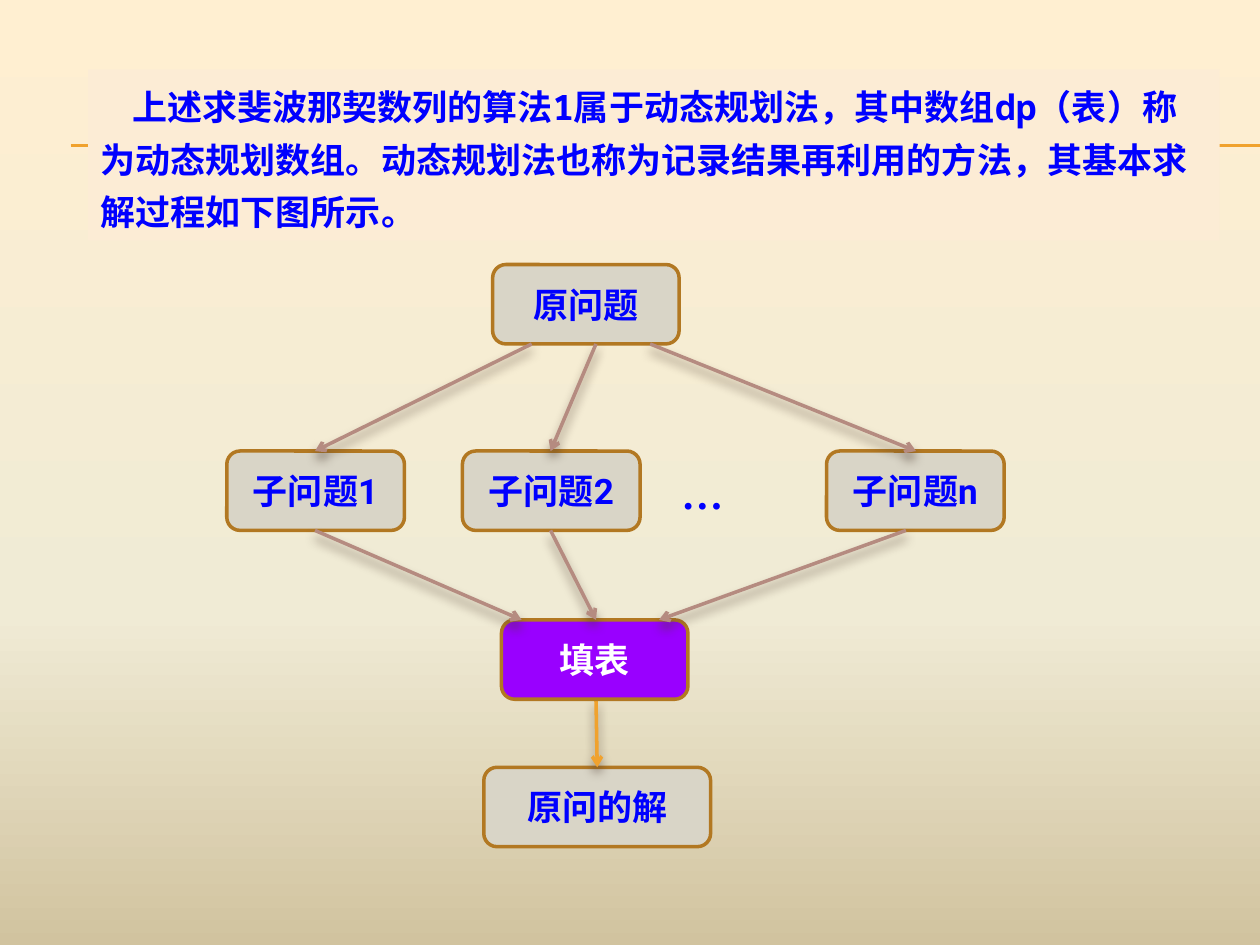
import copy
import dataclasses

import lxml.etree
import pptx
import pptx.dml.color
import pptx.enum.shapes
import pptx.enum.text
import pptx.oxml
import pptx.oxml.ns
import pptx.shapes.autoshape
import pptx.shapes.connector
import pptx.slide
import pptx.text.text
import pptx.util

Inches = pptx.util.Inches
Pt = pptx.util.Pt


@dataclasses.dataclass(frozen=True)
class Theme:
    background: tuple = ((0, "FFEFD1"), (0.65, "F0EBD5"), (1, "D1C39F"))
    rule: str = "F0A22E"
    intro_fill: str = "FCECD5"
    box_fill: str = "D9D5C7"
    box_line: str = "B27822"
    table_fill: str = "9900FF"
    ink: str = "0000FF"
    light_ink: str = "FFFFFF"
    arrow: str = "B58B80"
    shadow: str = "4E3B30"
    intro_font: str = "Noto Sans Mono"
    box_font: str = "Roboto"
    ellipsis_font: str = "Times New Roman"
    text_size: int = 20
    ellipsis_size: int = 24
    rule_width: float = 0.75
    line_width: float = 2


THEME = Theme()
BOX_HEIGHT = 0.63


@dataclasses.dataclass(frozen=True)
class Box:
    text: str
    left: float
    top: float
    width: float
    fill: str = THEME.box_fill
    ink: str = THEME.ink


@dataclasses.dataclass(frozen=True)
class Arrow:
    start: tuple[float, float]
    end: tuple[float, float]
    color: str = THEME.arrow


PROBLEM_TOP, SUBPROBLEM_TOP, TABLE_TOP, SOLUTION_TOP = 2.1, 3.58, 4.92, 6.09
PROBLEM_BOTTOM, SUBPROBLEM_BOTTOM, TABLE_BOTTOM = (
    top + BOX_HEIGHT for top in (PROBLEM_TOP, SUBPROBLEM_TOP, TABLE_TOP)
)
SUBPROBLEMS = (("子问题1", 1.8), ("子问题2", 3.67), ("子问题n", 6.56))

BOXES = [
    Box("原问题", 3.91, PROBLEM_TOP, 1.48),
    Box("原问的解", 3.84, SOLUTION_TOP, 1.8),
    *(Box(text, left, SUBPROBLEM_TOP, 1.41) for text, left in SUBPROBLEMS),
]
TABLE_BOX = Box("填表", 3.98, TABLE_TOP, 1.48, THEME.table_fill, THEME.light_ink)

SPLIT_ARROWS = [
    Arrow((start, PROBLEM_BOTTOM), (end, SUBPROBLEM_TOP))
    for start, end in ((4.22, 2.5), (4.73, 4.37), (5.16, 7.27))
]
MERGE_ARROWS = [
    Arrow((start, SUBPROBLEM_BOTTOM), (end, TABLE_TOP))
    for start, end in ((4.37, 4.73), (2.5, 4.14), (7.19, 5.23))
]
SOLUTION_ARROW = Arrow((4.73, TABLE_BOTTOM), (4.74, SOLUTION_TOP), THEME.rule)

INTRO = (
    "上述求斐波那契数列的算法1属于动态规划法，其中数组dp（表）称为动态规划数组。"
    "动态规划法也称为记录结果再利用的方法，其基本求解过程如下图所示。"
)


def rgb(color: str) -> pptx.dml.color.RGBColor:
    return pptx.dml.color.RGBColor.from_string(color)


def paint_background(slide: pptx.slide.Slide) -> None:
    fill = slide.background.fill
    fill.gradient()
    fill.gradient_angle = 270
    last_stop = slide.background._cSld.find(".//" + pptx.oxml.ns.qn("a:gs"))
    last_stop.addnext(copy.deepcopy(last_stop))
    for stop, (position, color) in zip(fill.gradient_stops, THEME.background):
        stop.position = position
        stop.color.rgb = rgb(color)


def write(
    shape: pptx.shapes.autoshape.Shape, text: str, font: str, color: str,
    size: int = THEME.text_size,
) -> pptx.text.text._Paragraph:
    shape.text_frame.word_wrap = True
    paragraph = shape.text_frame.paragraphs[0]
    paragraph.text = text
    paragraph.font.name = font
    paragraph.font.size = Pt(size)
    paragraph.font.bold = True
    paragraph.font.color.rgb = rgb(color)
    return paragraph


def add_line(
    slide: pptx.slide.Slide, start: tuple[float, float], end: tuple[float, float],
    color: str, width: float,
) -> pptx.shapes.connector.Connector:
    line = slide.shapes.add_connector(
        pptx.enum.shapes.MSO_CONNECTOR.STRAIGHT,
        *(Inches(value) for value in (*start, *end)),
    )
    line.line.color.rgb = rgb(color)
    line.line.width = Pt(width)
    lxml.etree.SubElement(line._element.spPr, pptx.oxml.ns.qn("a:effectLst"))
    return line


def add_arrow(slide: pptx.slide.Slide, arrow: Arrow) -> None:
    line = add_line(slide, arrow.start, arrow.end, arrow.color, THEME.line_width)
    outline = line.line._get_or_add_ln()
    lxml.etree.SubElement(outline, pptx.oxml.ns.qn("a:tailEnd"), type="arrow")
    effects = line._element.spPr.find(pptx.oxml.ns.qn("a:effectLst"))
    effects.append(pptx.oxml.parse_xml(
        f'<a:outerShdw {pptx.oxml.ns.nsdecls("a")} blurRad="{Pt(6)}" '
        f'dist="{Pt(4)}" dir="5400000" rotWithShape="0">'
        f'<a:srgbClr val="{THEME.shadow}"><a:alpha val="60000"/></a:srgbClr>'
        "</a:outerShdw>"
    ))


def add_box(slide: pptx.slide.Slide, box: Box) -> None:
    shape = slide.shapes.add_shape(
        pptx.enum.shapes.MSO_SHAPE.ROUNDED_RECTANGLE,
        Inches(box.left), Inches(box.top), Inches(box.width), Inches(BOX_HEIGHT),
    )
    shape.shadow.inherit = False
    shape.fill.solid()
    shape.fill.fore_color.rgb = rgb(box.fill)
    shape.line.color.rgb = rgb(THEME.box_line)
    shape.line.width = Pt(THEME.line_width)
    shape.text_frame.vertical_anchor = pptx.enum.text.MSO_ANCHOR.MIDDLE
    paragraph = write(shape, box.text, THEME.box_font, box.ink)
    paragraph.alignment = pptx.enum.text.PP_ALIGN.CENTER


def add_intro(slide: pptx.slide.Slide) -> None:
    shape = slide.shapes.add_shape(
        pptx.enum.shapes.MSO_SHAPE.RECTANGLE,
        Inches(0.7), Inches(0.55), Inches(8.98), Inches(1.36),
    )
    shape.shadow.inherit = False
    shape.fill.solid()
    shape.fill.fore_color.rgb = rgb(THEME.intro_fill)
    shape.line.fill.background()
    shape.text_frame.vertical_anchor = pptx.enum.text.MSO_ANCHOR.TOP
    paragraph = write(shape, INTRO, THEME.intro_font, THEME.ink)
    paragraph.alignment = pptx.enum.text.PP_ALIGN.LEFT
    paragraph.line_spacing = Pt(30)
    paragraph._p.get_or_add_pPr().set("indent", str(Inches(0.25)))


def add_ellipsis(slide: pptx.slide.Slide) -> None:
    shape = slide.shapes.add_textbox(Inches(5.31), Inches(3.66), Inches(1.09), Inches(0.5))
    write(shape, "…", THEME.ellipsis_font, THEME.ink, THEME.ellipsis_size)


def main() -> None:
    presentation = pptx.Presentation()
    presentation.slide_width = Inches(10)
    presentation.slide_height = Inches(7.5)
    slide = presentation.slides.add_slide(presentation.slide_layouts[6])
    paint_background(slide)
    for height in (1.15, 1.16):
        add_line(slide, (0.56, height), (10, height), THEME.rule, THEME.rule_width)
    add_intro(slide)
    for box in BOXES:
        add_box(slide, box)
    add_ellipsis(slide)
    for arrow in (SOLUTION_ARROW, *SPLIT_ARROWS):
        add_arrow(slide, arrow)
    add_box(slide, TABLE_BOX)
    for arrow in MERGE_ARROWS:
        add_arrow(slide, arrow)
    presentation.save("out.pptx")


if __name__ == "__main__":
    main()
